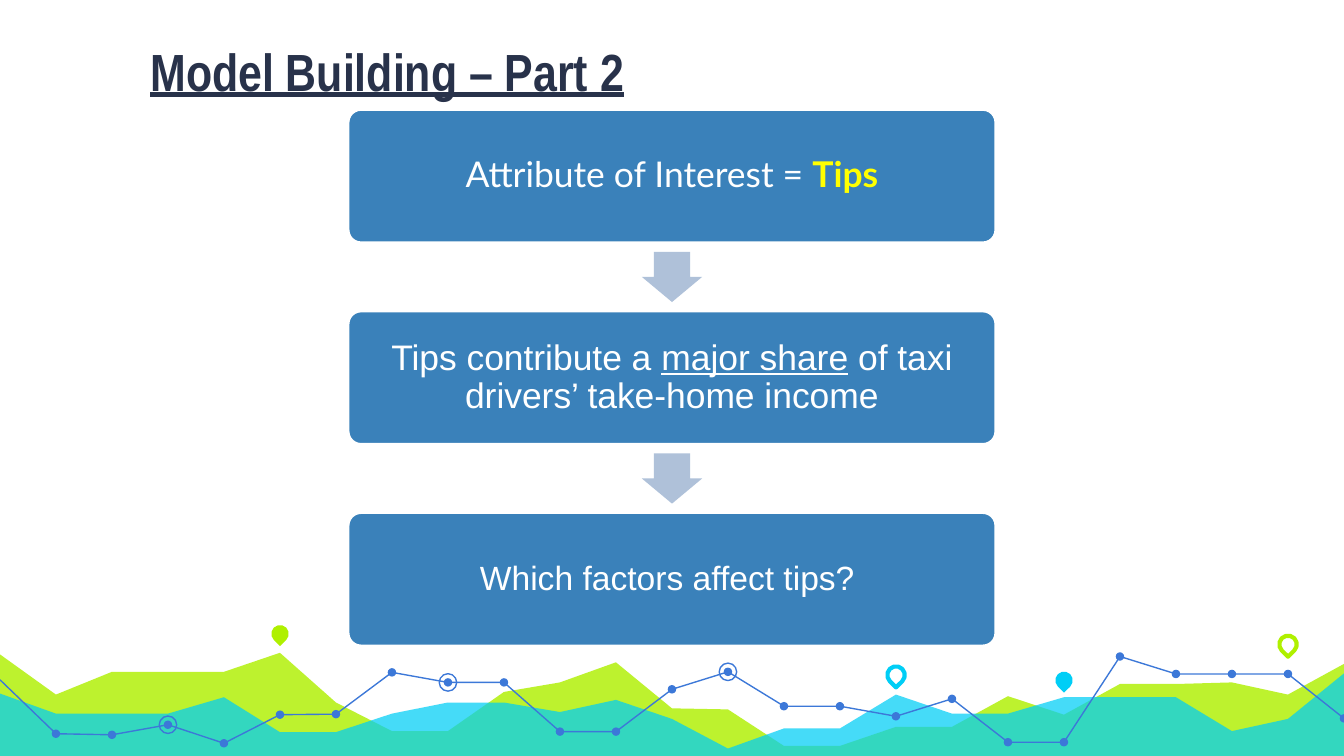
from lxml import etree
from pptx import Presentation
from pptx.dml.color import RGBColor
from pptx.enum.shapes import MSO_SHAPE
from pptx.enum.text import MSO_ANCHOR, MSO_AUTO_SIZE, PP_ALIGN
from pptx.oxml.ns import qn
from pptx.util import Cm, Pt

ROUND_RECT = MSO_SHAPE.ROUNDED_RECTANGLE
ARROW = MSO_SHAPE.RIGHT_ARROW
OVAL = MSO_SHAPE.OVAL
TEAR = MSO_SHAPE.TEAR
LEFT, CENTER = PP_ALIGN.LEFT, PP_ALIGN.CENTER
MIDDLE = MSO_ANCHOR.MIDDLE
NO_FIT = MSO_AUTO_SIZE.NONE

NAVY = RGBColor(0x28, 0x32, 0x4A)
BLUE = RGBColor(0x3A, 0x81, 0xBA)
PALE_BLUE = RGBColor(0xAF, 0xC1, 0xD9)
LINE_BLUE = RGBColor(0x3C, 0x78, 0xD8)
LIME = RGBColor(0xAF, 0xF0, 0x00)
CYAN = RGBColor(0x00, 0xCE, 0xF6)
YELLOW = RGBColor(0xFF, 0xFF, 0x00)
WHITE = RGBColor(0xFF, 0xFF, 0xFF)

SLIDE_W, SLIDE_H = 25.4, 14.29

# Heights down the slide in cm, at equal steps across its width
LIME_AREA = [12.37, 13.13, 12.7, 12.7, 12.7, 12.34, 13.28, 13.82, 13.82,
             13.08, 12.9, 12.52, 13.39, 13.41, 14.1, 14.1, 13.74, 13.74,
             13.16, 13.51, 12.93, 12.93, 12.9, 13.13, 12.55]
CYAN_AREA = [13.11, 13.49, 13.49, 13.49, 13.18, 13.84, 13.84, 13.49, 13.28,
             13.28, 13.46, 13.23, 13.59, 14.15, 13.77, 13.77, 13.13, 13.49,
             13.49, 13.18, 13.18, 13.18, 13.82, 13.59, 12.73]
TREND = [12.85, 13.87, 13.89, 13.7, 14.05, 13.51, 13.5, 12.71, 12.9,
         12.9, 13.83, 13.83, 13.03, 12.7, 13.35, 13.35, 13.54, 13.21,
         14.03, 14.03, 12.41, 12.74, 12.74, 12.74, 13.58]
TREND_PARTS = [(0, 11), (11, 20), (20, 24)]
RINGS = [3, 8, 13]
# Step, height, colour, filled
PINS = [(5, 11.98, LIME, True), (16, 12.76, CYAN, False),
        (19, 12.86, CYAN, True), (23, 12.18, LIME, False)]

STEPS = [
    [("Attribute of Interest = ", dict(size=19, font="Lato")),
     ("Tips", dict(size=19, font="Lato", color=YELLOW, bold=True))],
    [("Tips contribute a ", dict(size=19)),
     ("major share", dict(size=19, underline=True)),
     (" of taxi drivers’ take-home income", dict(size=19))],
    [("Which factors affect tips? ", dict(size=18))],
]


def add_text(p, text, size=18, font="Arial", color=WHITE, bold=False,
             underline=False):
    r = p.add_run()
    r.text = text
    f = r.font
    f.size, f.name, f.bold, f.underline = Pt(size), font, bold, underline
    f.color.rgb = color


def style(sp, fill=None, line=None, width=0.75, alpha=None):
    sp.shadow.inherit = False
    if fill is None:
        sp.fill.background()
    else:
        sp.fill.solid()
        sp.fill.fore_color.rgb = fill
    if alpha is not None:
        clr = sp._element.spPr.find(qn("a:solidFill")).find(qn("a:srgbClr"))
        etree.SubElement(clr, qn("a:alpha")).set("val", str(alpha * 1000))
    if line is None:
        sp.line.fill.background()
    else:
        sp.line.color.rgb = line
        sp.line.width = Pt(width)


def add_centered(s, kind, cx, cy, w, h, **look):
    sp = s.shapes.add_shape(kind, Cm(cx - w / 2), Cm(cy - h / 2), Cm(w), Cm(h))
    style(sp, **look)
    return sp


def add_path(s, points, close, **look):
    pts = [(Cm(x), Cm(y)) for x, y in points]
    fb = s.shapes.build_freeform(*pts[0])
    fb.add_line_segments(pts[1:], close=close)
    style(fb.convert_to_shape(), **look)


def add_landscape(s, left, width, bottom):
    step = width / (len(TREND) - 1)

    def points(heights, first=0):
        return [(left + i * step, y) for i, y in enumerate(heights, first)]

    # Areas
    corners = [(left + width, bottom), (left, bottom)]
    for heights, color, alpha in ((LIME_AREA, LIME, 82), (CYAN_AREA, CYAN, 73)):
        add_path(s, points(heights) + corners, True, fill=color, alpha=alpha)

    # Trend line with dots and rings
    for a, b in TREND_PARTS:
        add_path(s, points(TREND[a:b + 1], a), False, line=LINE_BLUE)
    trend = points(TREND)
    for x, y in trend[1:]:
        add_centered(s, OVAL, x, y, 0.16, 0.16, fill=LINE_BLUE)
    for i in RINGS:
        add_centered(s, OVAL, *trend[i], 0.33, 0.33, line=LINE_BLUE)

    # Map pins
    for i, y, color, filled in PINS:
        look = dict(fill=color) if filled else dict(line=color, width=2.25)
        pin = add_centered(s, TEAR, left + i * step, y, 0.33, 0.33, **look)
        pin.rotation = 135


def add_title(s, left, top, width, height):
    sp = s.shapes.title
    sp.left, sp.top, sp.width, sp.height = Cm(left), Cm(top), Cm(width), Cm(height)
    tf = sp.text_frame
    tf.auto_size = NO_FIT
    tf.vertical_anchor = MIDDLE
    p = tf.paragraphs[0]
    p.alignment = LEFT
    add_text(p, "Model Building – Part 2", size=28, font="Arial Narrow",
             color=NAVY, bold=True, underline=True)


def add_flow(s, left, top, width, height):
    # Gaps are half as high as the boxes
    box_h = height / (len(STEPS) + (len(STEPS) - 1) / 2)
    gap = box_h / 2
    cx = left + width / 2
    for i, runs in enumerate(STEPS):
        cy = top + box_h / 2 + i * (box_h + gap)
        if i:
            arrow = add_centered(s, ARROW, cx, cy - box_h / 2 - gap / 2,
                                 0.95, 1.14, fill=PALE_BLUE)
            arrow.rotation = 90
            arrow.adjustments[0] = 0.6
        sp = add_centered(s, ROUND_RECT, cx, cy, width, box_h,
                          fill=BLUE, line=WHITE, width=2)
        sp.adjustments[0] = 0.1
        tf = sp.text_frame
        tf.word_wrap = True
        tf.vertical_anchor = MIDDLE
        tf.margin_left = tf.margin_right = Cm(0.2)
        tf.margin_top = tf.margin_bottom = Cm(0.2)
        p = tf.paragraphs[0]
        p.alignment = CENTER
        p.line_spacing = 0.9
        for text, fmt in runs:
            add_text(p, text, **fmt)


def main():
    prs = Presentation()
    prs.slide_width, prs.slide_height = Cm(SLIDE_W), Cm(SLIDE_H)
    s = prs.slides.add_slide(prs.slide_layouts[5])
    add_landscape(s, 0, SLIDE_W, SLIDE_H)
    add_title(s, 2.59, 0.61, 19.81, 1.45)
    add_flow(s, 6.57, 2.06, 12.26, 10.16)
    prs.save("out.pptx")


if __name__ == "__main__":
    main()
